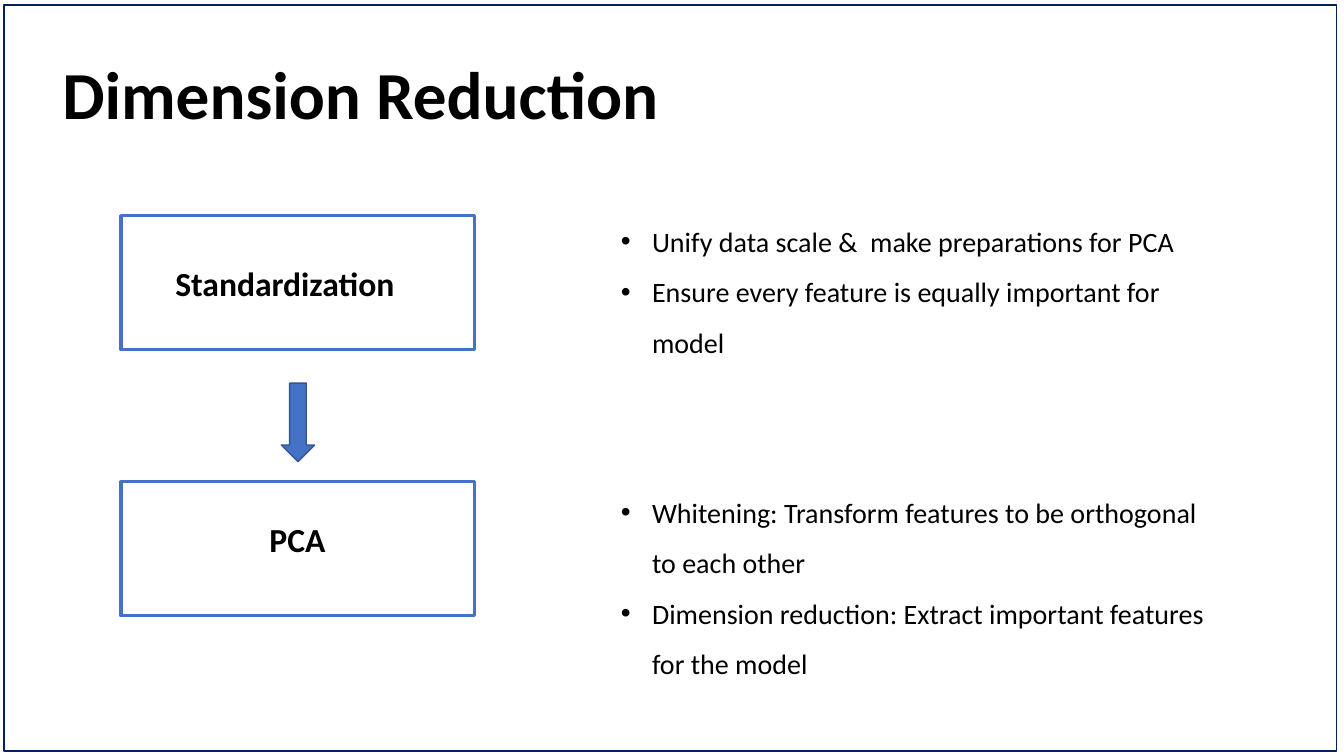
"""Build the Dimension Reduction slide on a grid of 100 columns by 100 rows."""
from dataclasses import dataclass

import pptx
import pptx.dml.color
import pptx.enum.shapes
import pptx.enum.text
import pptx.oxml
import pptx.oxml.ns
import pptx.shapes.autoshape
import pptx.slide
import pptx.util

SHAPE = pptx.enum.shapes.MSO_SHAPE
ALIGN = pptx.enum.text.PP_ALIGN
COLORS = {"paper": "FFFFFF", "frame": "002060", "step": "4472C4",
          "arrow_edge": "325491", "ink": "000000"}
WIDTH = pptx.util.Inches(13.33)
HEIGHT = pptx.util.Inches(7.5)
INDENT = pptx.util.Inches(0.31)
STEP_LEFT, STEP_TOP, STEP_PITCH = 9, 28.53, 35.2
STEP_WIDTH, STEP_HEIGHT = 26.33, 17.73
NOTES_LEFT = 45.45


@dataclass(frozen=True)
class Area:
    left: float
    top: float
    width: float
    height: float

    def lengths(self) -> list[int]:
        return [int(WIDTH * self.left / 100), int(HEIGHT * self.top / 100),
                int(WIDTH * self.width / 100), int(HEIGHT * self.height / 100)]


@dataclass(frozen=True)
class Panel:
    area: Area
    fill: str
    edge: str
    edge_width: float
    outline: SHAPE = SHAPE.RECTANGLE


@dataclass(frozen=True)
class Passage:
    area: Area
    lines: tuple[str, ...]
    size: int
    bold: bool = True
    align: ALIGN = ALIGN.LEFT
    bulleted: bool = False


STEPS = [Panel(Area(STEP_LEFT, STEP_TOP + row * STEP_PITCH, STEP_WIDTH, STEP_HEIGHT),
               "paper", "step", 2.25) for row in range(2)]
PANELS = [
    Panel(Area(0.3, 0.67, 99.15, 98.67), "paper", "frame", 1),
    *STEPS,
    Panel(Area(20.93, 50.67, 2.48, 10.4), "step", "arrow_edge", 1, SHAPE.DOWN_ARROW),
]
PASSAGES = [
    Passage(Area(12.3, 34.13, 23.4, 6.67), ("Standardization",), 24),
    Passage(Area(10.43, 68, 23.4, 6.67), ("PCA",), 24, align=ALIGN.CENTER),
    Passage(Area(NOTES_LEFT, 26.8, 43.13, 20.8),
            ("Unify data scale &  make preparations for PCA",
             "Ensure every feature is equally important for model"),
            20, bold=False, bulleted=True),
    Passage(Area(NOTES_LEFT, 62.67, 45.6, 27.6),
            ("Whitening: Transform features to be orthogonal to each other",
             "Dimension reduction: Extract important features for the model"),
            20, bold=False, bulleted=True),
    Passage(Area(3.9, 6.27, 52.2, 12.13), ("Dimension Reduction",), 48),
]


def color(name: str) -> pptx.dml.color.RGBColor:
    return pptx.dml.color.RGBColor.from_string(COLORS[name])


def apply(target: object, formats: dict[str, object]) -> None:
    for attribute, value in formats.items():
        setattr(target, attribute, value)


def draw_panel(slide: pptx.slide.Slide, panel: Panel) -> pptx.shapes.autoshape.Shape:
    shape = slide.shapes.add_shape(panel.outline, *panel.area.lengths())
    shape.shadow.inherit = False
    shape.fill.solid()
    shape.fill.fore_color.rgb = color(panel.fill)
    shape.line.color.rgb = color(panel.edge)
    shape.line.width = pptx.util.Pt(panel.edge_width)
    return shape


def add_bullet(paragraph: object) -> None:
    properties = paragraph._p.get_or_add_pPr()
    properties.set("marL", str(INDENT))
    properties.set("indent", str(-INDENT))
    for tag, attribute, value in (("a:buFont", "typeface", "Arial"),
                                  ("a:buChar", "char", "•")):
        element = pptx.oxml.parse_xml(f'<{tag} {pptx.oxml.ns.nsdecls("a")} {attribute}="{value}"/>')
        properties.append(element)
    paragraph.line_spacing = 1.5


def write_passage(slide: pptx.slide.Slide, passage: Passage) -> None:
    frame = slide.shapes.add_textbox(*passage.area.lengths()).text_frame
    apply(frame, {"word_wrap": True,
                  "auto_size": pptx.enum.text.MSO_AUTO_SIZE.SHAPE_TO_FIT_TEXT})
    for index, line in enumerate(passage.lines):
        paragraph = frame.add_paragraph() if index else frame.paragraphs[0]
        paragraph.alignment = passage.align
        if passage.bulleted:
            add_bullet(paragraph)
        run = paragraph.add_run()
        run.text = line
        apply(run.font, {"name": "Calibri", "size": pptx.util.Pt(passage.size),
                         "bold": passage.bold})
        run.font.color.rgb = color("ink")


def main() -> None:
    deck = pptx.Presentation()
    apply(deck, {"slide_width": WIDTH, "slide_height": HEIGHT})
    slide = deck.slides.add_slide(deck.slide_layouts[6])
    for panel in PANELS:
        draw_panel(slide, panel)
    for passage in PASSAGES:
        write_passage(slide, passage)
    deck.save("out.pptx")


if __name__ == "__main__":
    main()
